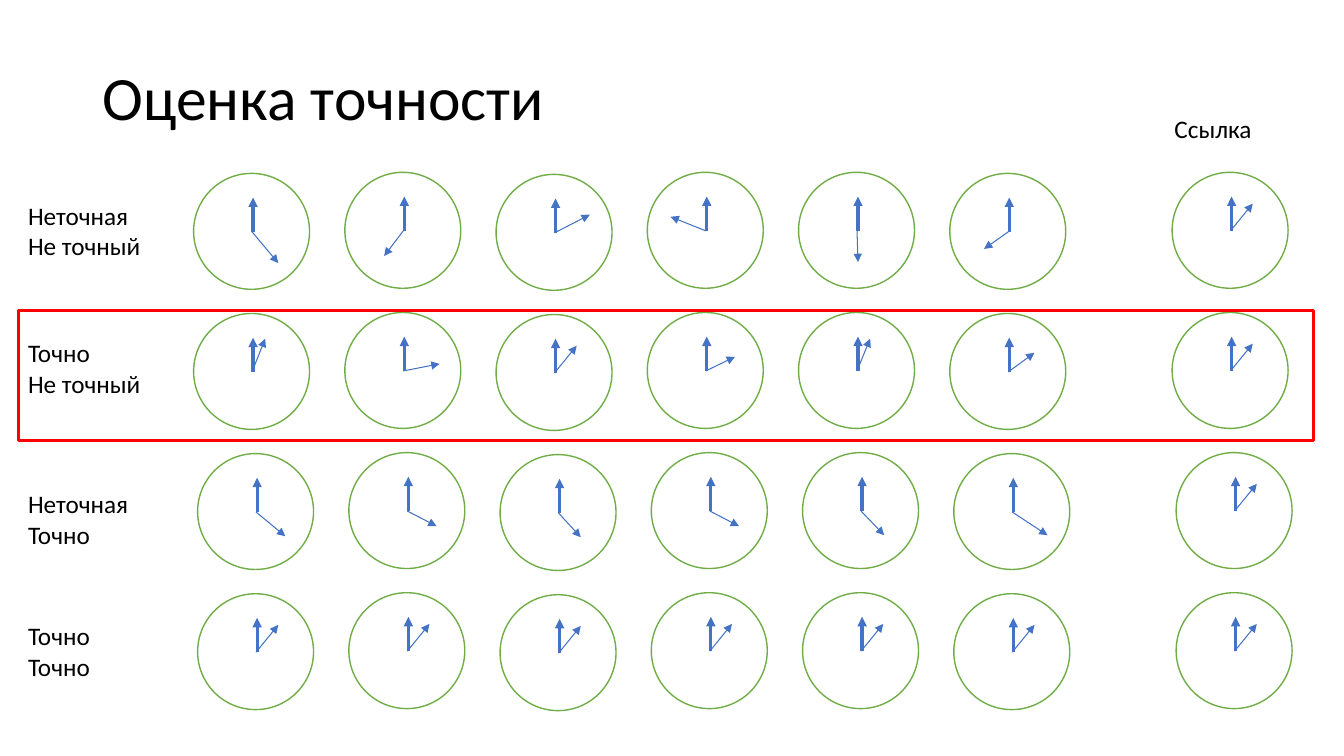
"""Build a slide that compares accuracy and precision with rows of clock faces."""
from dataclasses import dataclass

from lxml.etree import SubElement
from pptx import Presentation
from pptx.dml.color import RGBColor
from pptx.enum.shapes import MSO_CONNECTOR, MSO_SHAPE
from pptx.enum.text import MSO_ANCHOR, MSO_AUTO_SIZE
from pptx.oxml.ns import qn
from pptx.shapes.autoshape import Shape
from pptx.slide import Slide
from pptx.util import Inches, Pt

BLACK = RGBColor(0x00, 0x00, 0x00)
WHITE = RGBColor(0xFF, 0xFF, 0xFF)
GREEN = RGBColor(0x70, 0xAD, 0x47)
BLUE = RGBColor(0x44, 0x72, 0xC4)
RED = RGBColor(0xFF, 0x00, 0x00)

Offset = tuple[float, float]

LEFT, TOP = 1.92, 1.71
COL, ROW = 1.5, 1.39
DIAL = 1.15
REF_COL = 6.47
DROPS = (0.01, 0, 0.02, 0, 0, 0.01)
TARGET: Offset = (0.22, -0.27)


@dataclass(frozen=True)
class Series:
    """One row of clocks: its label, the label's top, hour hands and indent."""
    label: str
    label_top: float
    hands: tuple[Offset, ...]
    indent: float = 0


SERIES = (
    Series("Неточная\nНе точный", 1.94,
           ((0.26, 0.31), (-0.19, 0.25), (0.35, -0.18),
            (-0.35, -0.14), (0.01, 0.31), (-0.24, 0.17))),
    Series("Точно\nНе точный", 3.3,
           ((0.13, -0.33), (0.36, -0.07), TARGET,
            (0.29, -0.14), (0.13, -0.32), (0.26, -0.19))),
    Series("Неточная\nТочно", 4.8,
           ((0.29, 0.24), (0.29, 0.15), (0.22, 0.24),
            (0.29, 0.15), (0.23, 0.24), (0.35, 0.23)), 0.04),
    Series("Точно\nТочно", 6.11, (TARGET,) * 6, 0.04),
)


def add_text(s: Slide, text: str, x: float, y: float, w: float, h: float, *,
             size: float = 18, anchor: MSO_ANCHOR = MSO_ANCHOR.TOP,
             spacing: float = 1.0, grow: bool = True) -> None:
    """Add a text box with one paragraph for each line of text."""
    tf = s.shapes.add_textbox(Inches(x), Inches(y), Inches(w), Inches(h)).text_frame
    tf.word_wrap = True
    tf.auto_size = MSO_AUTO_SIZE.SHAPE_TO_FIT_TEXT if grow else MSO_AUTO_SIZE.NONE
    tf.vertical_anchor = anchor
    tf.text = text
    for p in tf.paragraphs:
        p.line_spacing = spacing
        p.font.name = "Calibri"
        p.font.size = Pt(size)
        p.font.color.rgb = BLACK


def add_outline(s: Slide, kind: MSO_SHAPE, x: float, y: float, w: float, h: float,
                color: RGBColor, width: float) -> Shape:
    """Add an unfilled preset shape with a coloured outline."""
    sp = s.shapes.add_shape(kind, Inches(x), Inches(y), Inches(w), Inches(h))
    sp.shadow.inherit = False
    sp.fill.background()
    sp.line.color.rgb = color
    sp.line.width = Pt(width)
    return sp


def add_hand(s: Slide, x: float, y: float, tip: Offset, width: float) -> None:
    """Add an arrow from a point to the tip, given relative to that point."""
    dx, dy = tip
    cn = s.shapes.add_connector(MSO_CONNECTOR.STRAIGHT, Inches(x), Inches(y),
                                Inches(x + dx), Inches(y + dy))
    cn.line.color.rgb = BLUE
    cn.line.width = Pt(width)
    SubElement(cn.line._get_or_add_ln(), qn("a:tailEnd"), type="triangle")
    SubElement(cn._element.spPr, qn("a:effectLst"))


def add_clock(s: Slide, x: float, y: float, hour: Offset) -> None:
    """Add a dial with a thin hour hand and a thick hand at twelve."""
    dial = add_outline(s, MSO_SHAPE.OVAL, x, y, DIAL, DIAL, GREEN, 1)
    dial.fill.solid()
    dial.fill.fore_color.rgb = WHITE
    add_hand(s, x + 0.58, y + 0.58, hour, 0.75)
    add_hand(s, x + 0.59, y + 0.58, (0, -0.34), 2.25)


def main() -> None:
    """Draw the slide and save it."""
    prs = Presentation()
    prs.slide_width, prs.slide_height = Inches(13.33), Inches(7.5)
    s = prs.slides.add_slide(prs.slide_layouts[6])
    add_text(s, "Оценка точности", 0.92, 0.27, 11.5, 1.45, size=44,
             anchor=MSO_ANCHOR.MIDDLE, spacing=0.9, grow=False)
    for row, series in enumerate(SERIES):
        x, y = LEFT + series.indent, TOP + row * ROW
        for col, (hour, drop) in enumerate(zip(series.hands, DROPS)):
            add_clock(s, x + col * COL, y + drop, hour)
        add_clock(s, x + REF_COL * COL, y, TARGET)
        add_text(s, series.label, 0.18, series.label_top, 1.63, 0.7)
    add_text(s, "Ссылка", 11.55, 1.08, 1.39, 0.4)
    add_outline(s, MSO_SHAPE.RECTANGLE, 0.18, 3.08, 12.85, 1.29, RED, 2.25)
    prs.save("out.pptx")


if __name__ == "__main__":
    main()
